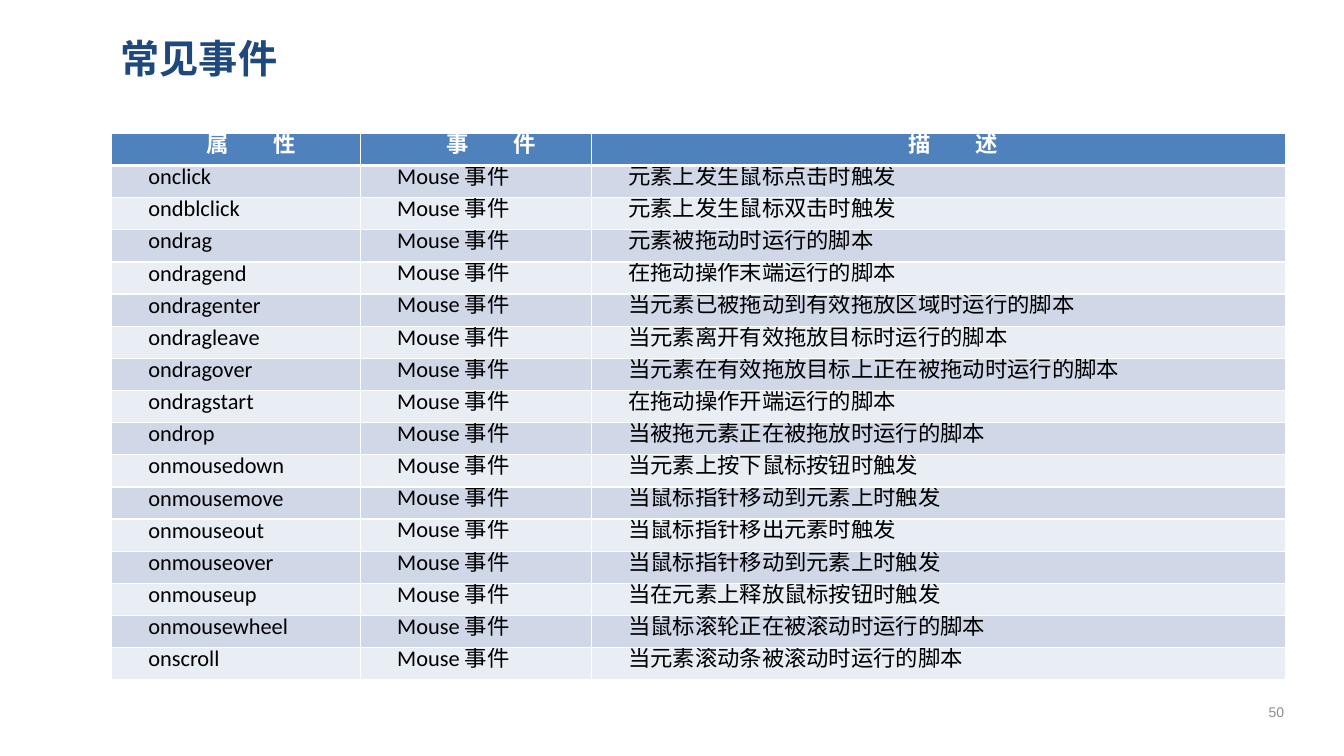
"""Build the slide that lists common mouse events in a table."""
from lxml.etree import SubElement
from pptx import Presentation
from pptx.dml.color import RGBColor
from pptx.enum.text import MSO_ANCHOR, PP_ALIGN
from pptx.oxml.ns import qn
from pptx.util import Cm, Pt

TITLE = "常见事件"
PAGE_NUMBER = "50"
HEADINGS = ("属　　性", "事　　件", "描　　述")
EVENT_KIND = "Mouse 事件"
EVENTS = (
    ("onclick", "元素上发生鼠标点击时触发"),
    ("ondblclick", "元素上发生鼠标双击时触发"),
    ("ondrag", "元素被拖动时运行的脚本"),
    ("ondragend", "在拖动操作末端运行的脚本"),
    ("ondragenter", "当元素已被拖动到有效拖放区域时运行的脚本"),
    ("ondragleave", "当元素离开有效拖放目标时运行的脚本"),
    ("ondragover", "当元素在有效拖放目标上正在被拖动时运行的脚本"),
    ("ondragstart", "在拖动操作开端运行的脚本"),
    ("ondrop", "当被拖元素正在被拖放时运行的脚本"),
    ("onmousedown", "当元素上按下鼠标按钮时触发"),
    ("onmousemove", "当鼠标指针移动到元素上时触发"),
    ("onmouseout", "当鼠标指针移出元素时触发"),
    ("onmouseover", "当鼠标指针移动到元素上时触发"),
    ("onmouseup", "当在元素上释放鼠标按钮时触发"),
    ("onmousewheel", "当鼠标滚轮正在被滚动时运行的脚本"),
    ("onscroll", "当元素滚动条被滚动时运行的脚本"),
)
COLUMN_WIDTHS = (6.27, 5.82, 17.5)
ROW_HEIGHT = 0.81
HEADER_FILL = "4F81BD"
BAND_FILLS = ("D0D8E8", "E9EDF4")
WHITE = "FFFFFF"


def color(hex_code):
    return RGBColor.from_string(hex_code)


def write(frame, text, size, font_name, hex_code, bold=False, align=PP_ALIGN.LEFT):
    frame.word_wrap = True
    paragraph = frame.paragraphs[0]
    paragraph.text = text
    paragraph.alignment = align
    font = paragraph.font
    font.size, font.name, font.bold = Pt(size), font_name, bold
    font.color.rgb = color(hex_code)
    return paragraph


def add_label(slide, box, *style, **options):
    frame = slide.shapes.add_textbox(*map(Cm, box)).text_frame
    frame.vertical_anchor = MSO_ANCHOR.MIDDLE
    write(frame, *style, **options)


def add_border(cell, side, width):
    line = SubElement(cell._tc.get_or_add_tcPr(), qn(f"a:{side}"), w=str(Pt(width)))
    fill = SubElement(line, qn("a:solidFill"))
    SubElement(fill, qn("a:srgbClr"), val=WHITE)


def fill_cell(cell, text, row):
    header = row == 0
    cell.margin_left = cell.margin_right = Cm(0.18)
    cell.margin_top = cell.margin_bottom = 0
    cell.vertical_anchor = MSO_ANCHOR.MIDDLE
    paragraph = write(cell.text_frame, text, 16, "Calibri",
                      WHITE if header else "000000", bold=header,
                      align=PP_ALIGN.CENTER if header else PP_ALIGN.LEFT)
    paragraph.line_spacing = Pt(13)
    paragraph._p.get_or_add_pPr().set("indent", str(Cm(0.74)))
    for side in ("lnL", "lnR", "lnT", "lnB"):
        under_header = (row, side) in ((0, "lnB"), (1, "lnT"))
        add_border(cell, side, 3 if under_header else 1)
    cell.fill.solid()
    cell.fill.fore_color.rgb = color(HEADER_FILL if header else BAND_FILLS[(row - 1) % 2])


def add_event_table(slide):
    rows = [HEADINGS] + [(name, EVENT_KIND, trigger) for name, trigger in EVENTS]
    table = slide.shapes.add_table(
        len(rows), len(HEADINGS), Cm(2.82), Cm(3.36),
        Cm(sum(COLUMN_WIDTHS)), Cm(ROW_HEIGHT * len(rows))).table
    for column, width in zip(table.columns, COLUMN_WIDTHS):
        column.width = Cm(width)
    for row, texts in enumerate(rows):
        table.rows[row].height = Cm(ROW_HEIGHT)
        for column, text in enumerate(texts):
            fill_cell(table.cell(row, column), text, row)


def main():
    deck = Presentation()
    deck.slide_width, deck.slide_height = Cm(33.87), Cm(19.05)
    slide = deck.slides.add_slide(deck.slide_layouts[6])
    add_event_table(slide)
    add_label(slide, (2.79, 0.61, 29.6, 1.7), TITLE, 28, "Noto Sans CJK SC", "1F497D", bold=True)
    add_label(slide, (31.34, 17.42, 1.65, 1.02), PAGE_NUMBER, 10, "Arial", "8C8C8C",
              align=PP_ALIGN.CENTER)
    deck.save("out.pptx")


if __name__ == "__main__":
    main()
